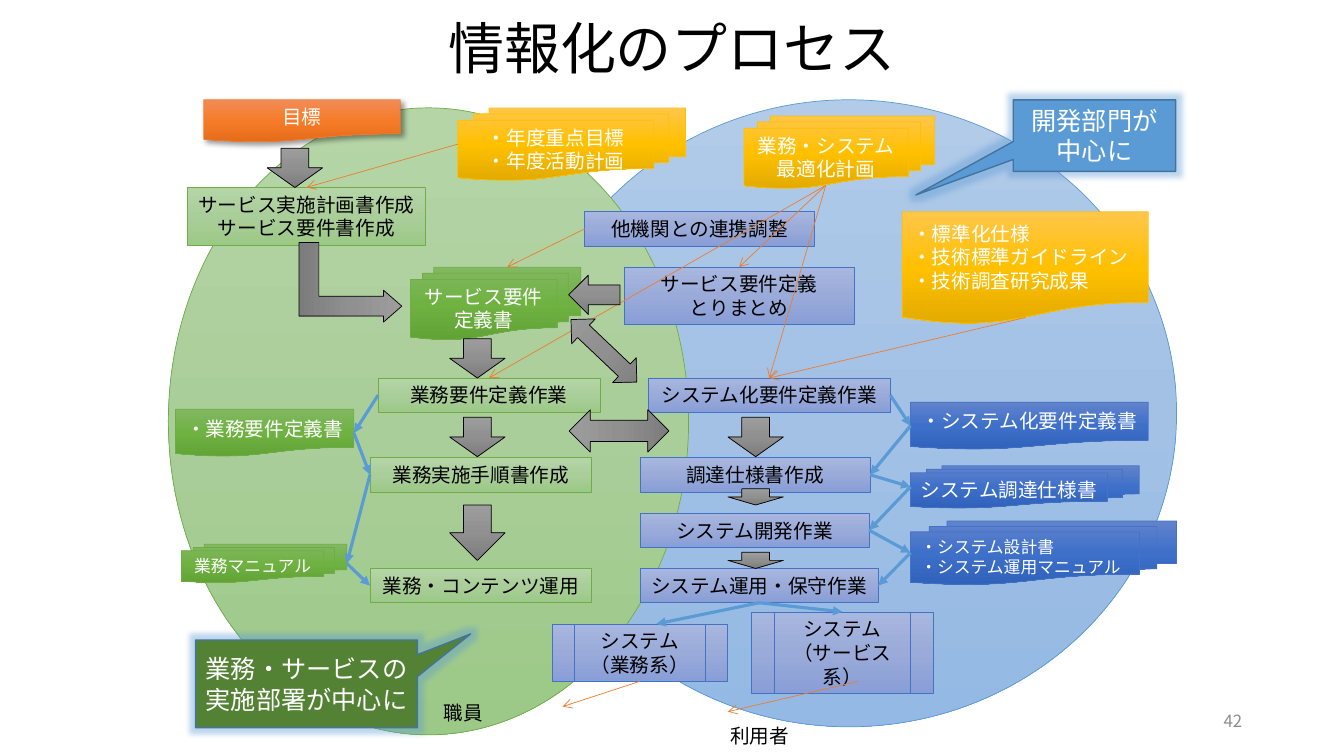
"""Build the slide that maps the computerisation process across staff and system lanes."""
from copy import deepcopy
from lxml.etree import SubElement
from pptx import Presentation
from pptx.dml.color import RGBColor
from pptx.enum.shapes import MSO_CONNECTOR, MSO_SHAPE as Kind
from pptx.enum.text import MSO_ANCHOR as Anchor, PP_ALIGN as Align
from pptx.oxml.ns import qn
from pptx.util import Inches, Pt

FONT = "Noto Sans CJK JP"
COLOURS = {
    "black": "000000", "white": "FFFFFF", "grey": "8C8C8C", "flow": "5B9BD5",
    "input": "ED7D31", "callout_line": "43739E", "developer": "5B9BD5", "staff": "548235",
}
GRADIENTS = {
    "system_area": ("B1CBE9", "A3C1E5", "93B9E4", "5B9BD5"),
    "staff_task": ("B5D5A7", "AACE9A", "9CC987", "70AD47"),
    "staff_paper": ("81B861", "6FB242", "62A336", "70AD47"),
    "system_task": ("A8B7DF", "9AABD9", "889ED7", "4472C4"),
    "system_paper": ("6183CB", "3E70CA", "3062BB", "4472C4"),
    "plan": ("FFC64B", "FFC000", "E3AB00", "FFC000"),
    "goal": ("F18C57", "F67B28", "E56C19", "ED7D31"),
    "arrow": ("9D9D9D", "909090", "7C7C7C", "000000"),
}

presentation = Presentation()
presentation.slide_width, presentation.slide_height = Inches(13.33), Inches(7.5)
slide = presentation.slides.add_slide(presentation.slide_layouts[5])
shapes = slide.shapes


def add_gradient_shape(kind, place, gradient):
    shape = shapes.add_shape(kind, *map(Inches, place))
    shape.shadow.inherit = False
    shape.fill.gradient()
    shape.fill.gradient_angle = 270
    stop_list = shape._element.spPr.find(qn("a:gradFill")).find(qn("a:gsLst"))
    stop_list.insert(1, deepcopy(stop_list[0]))
    *stops, line = GRADIENTS[gradient]
    for index, (stop, colour) in enumerate(zip(shape.fill.gradient_stops, stops)):
        stop.position = index / 2
        stop.color.rgb = RGBColor.from_string(colour)
    shape.line.color.rgb = RGBColor.from_string(line)
    shape.line.width = Pt(0.5)
    return shape


def write(shape, text, size, colour, align=Align.CENTER, anchor=Anchor.MIDDLE, wrap=True):
    frame = shape.text_frame
    frame.text = text
    frame.word_wrap = wrap
    frame.vertical_anchor = anchor
    for paragraph in frame.paragraphs:
        paragraph.alignment = align
        font = paragraph.font
        font.size, font.name = Pt(size), FONT
        font.color.rgb = RGBColor.from_string(COLOURS[colour])
        SubElement(font._rPr, qn("a:ea"), typeface=FONT)


add_gradient_shape(Kind.OVAL, (5.17, 0.99, 6.5, 6.22), "system_area")
add_gradient_shape(Kind.OVAL, (1.67, 1.07, 5.16, 6.22), "staff_task")

title = shapes.title
title.left, title.top, title.width, title.height = map(Inches, (1.86, 0, 9.61, 1.02))
write(title, "情報化のプロセス", 40, "black")
title.text_frame.paragraphs[0].line_spacing = 0.9

TASK, PAPER, PAPERS = Kind.FLOWCHART_PROCESS, Kind.FLOWCHART_DOCUMENT, Kind.FLOWCHART_MULTIDOCUMENT
SYSTEM = Kind.FLOWCHART_PREDEFINED_PROCESS
ROW_1, ROW_2, ROW_3, ROW_4 = 3.75, 4.54, 5.09, 5.64
LINE, PAIR, STACK = 0.34, 0.57, 0.72
PAPER_LEFT = 9.03
boxes = {
    "goal": (PAPER, 2.02, 0.99, 1.95, 0.42, "goal", "目標"),
    "requirements": (PAPERS, 4.07, 2.65, 1.69, STACK, "staff_paper", "サービス要件定義書"),
    "optimisation": (PAPERS, 7.38, 1.15, 1.89, STACK, "plan", "業務・システム\n最適化計画"),
    "year_plan": (PAPERS, 4.54, 1.07, 2.26, STACK, "plan", "・年度重点目標\n・年度活動計画"),
    "standards": (PAPER, 8.95, 2.1, 2.44, 1.12, "plan",
                  "・標準化仕様\n・技術標準ガイドライン\n・技術調査研究成果"),
    "service_plan": (TASK, 1.86, 1.86, 2.36, PAIR, "staff_task",
                     "サービス実施計画書作成\nサービス要件書作成"),
    "coordination": (TASK, 5.8, 2.1, 2.28, LINE, "system_task", "他機関との連携調整"),
    "summary": (TASK, 6.19, 2.65, 2.28, PAIR, "system_task", "サービス要件定義\nとりまとめ"),
    "work_definition": (TASK, 3.75, ROW_1, 2.2, LINE, "staff_task", "業務要件定義作業"),
    "procedure": (TASK, 3.67, ROW_2, 2.2, LINE, "staff_task", "業務実施手順書作成"),
    "operation": (TASK, 3.67, ROW_4, 2.2, LINE, "staff_task", "業務・コンテンツ運用"),
    "system_definition": (TASK, 6.43, ROW_1, 2.4, LINE, "system_task", "システム化要件定義作業"),
    "procurement": (TASK, 6.35, ROW_2, 2.28, LINE, "system_task", "調達仕様書作成"),
    "development": (Kind.RECTANGLE, 6.35, ROW_3, 2.27, LINE, "system_task", "システム開発作業"),
    "maintenance": (Kind.RECTANGLE, 6.35, ROW_4, 2.36, LINE, "system_task", "システム運用・保守作業"),
    "work_system": (SYSTEM, 5.48, 6.19, 1.73, PAIR, "system_task", "システム\n（業務系）"),
    "service_system": (SYSTEM, 7.45, 6.07, 1.81, 0.81, "system_task", "システム\n（サービス系）"),
    "work_paper": (PAPER, 1.74, 4.06, 1.77, 0.47, "staff_paper", "・業務要件定義書"),
    "manual": (PAPERS, 1.8, 5.4, 1.64, 0.38, "staff_paper", "業務マニュアル"),
    "system_paper": (PAPER, PAPER_LEFT, 3.99, 2.36, 0.47, "system_paper", "・システム化要件定義書"),
    "procurement_paper": (PAPERS, PAPER_LEFT, 4.62, 2.27, 0.42, "system_paper", "システム調達仕様書"),
    "design_paper": (PAPERS, PAPER_LEFT, 5.17, 2.64, 0.63, "system_paper",
                     "・システム設計書\n・システム運用マニュアル"),
}
nodes = {}
for name, (kind, *place, gradient, text) in boxes.items():
    nodes[name] = add_gradient_shape(kind, place, gradient)
    write(nodes[name], text, 12 if name in ("manual", "design_paper") else 14,
          "black" if gradient.endswith("task") else "white",
          Align.LEFT if name in ("standards", "design_paper") else Align.CENTER)

TOP, LEFT, BOTTOM, RIGHT = range(4)
PLAN_FOOT = (8.19, 1.84)
flows = [
    (("work_definition", LEFT), ("work_paper", RIGHT)),
    (("work_paper", RIGHT), ("procedure", LEFT)),
    (("procedure", LEFT), ("manual", RIGHT)),
    (("manual", RIGHT), ("operation", LEFT)),
    (("system_definition", RIGHT), ("system_paper", LEFT)),
    (("system_paper", LEFT), ("procurement", RIGHT)),
    (("procurement", RIGHT), ("procurement_paper", LEFT)),
    (("procurement_paper", LEFT), ("development", RIGHT)),
    (("development", RIGHT), ("design_paper", LEFT)),
    (("design_paper", LEFT), ("maintenance", RIGHT)),
    (("maintenance", BOTTOM), (6.51, 6.19)),
    (("maintenance", BOTTOM), ("service_system", TOP)),
]
inputs = [
    (("year_plan", LEFT), ("service_plan", TOP)),
    (("coordination", LEFT), (5.03, 2.65)),
    ((10.17, 3.15), ("system_definition", TOP)),
    (PLAN_FOOT, ("work_definition", TOP)),
    (PLAN_FOOT, ("system_definition", TOP)),
    (PLAN_FOOT, ("summary", TOP)),
    (("work_system", BOTTOM), (5.58, 7.01)),
    ((8.51, 6.76), (7.22, 7.06)),
]
for links, colour, width, head in ((flows, "flow", 2.25, "triangle"), (inputs, "input", 0.5, "arrow")):
    for start, end in links:
        points = [(0, 0) if point[0] in nodes else point for point in (start, end)]
        line = shapes.add_connector(MSO_CONNECTOR.STRAIGHT, *map(Inches, points[0] + points[1]))
        for point, connect in ((start, line.begin_connect), (end, line.end_connect)):
            if point[0] in nodes:
                connect(nodes[point[0]], point[1])
        line.line.color.rgb = RGBColor.from_string(COLOURS[colour])
        line.line.width = Pt(width)
        SubElement(line.line._get_or_add_ln(), qn("a:tailEnd"), type=head)
        SubElement(line._element.spPr, qn("a:effectLst"))

block_arrows = [
    (Kind.DOWN_ARROW, 2.65, 1.47, 0.55, 0.39, 0),
    (Kind.DOWN_ARROW, 4.46, 3.36, 0.55, 0.39, 0),
    (Kind.DOWN_ARROW, 4.46, 4.14, 0.55, 0.39, 0),
    (Kind.DOWN_ARROW, 4.46, 5.01, 0.55, 0.55, 0),
    (Kind.DOWN_ARROW, 7.22, 4.14, 0.55, 0.39, 0),
    (Kind.DOWN_ARROW, 7.22, 4.85, 0.55, 0.16, 0),
    (Kind.DOWN_ARROW, 7.22, 5.48, 0.55, 0.16, 0),
    (Kind.LEFT_ARROW, 5.64, 2.73, 0.51, 0.39, 0),
    (Kind.BENT_UP_ARROW, 3.08, 2.29, 0.79, 1.02, 90),
    (Kind.UP_DOWN_ARROW, 5.82, 3.03, 0.34, 0.9, 313.5),
    (Kind.UP_DOWN_ARROW, 5.93, 3.78, 0.42, 0.99, 270),
]
for kind, *place, rotation in block_arrows:
    arrow = add_gradient_shape(kind, place, "arrow")
    arrow.rotation = rotation
    if kind == Kind.BENT_UP_ARROW:
        for index, share in enumerate((0.25, 0.2, 0.23)):
            arrow.adjustments[index] = share

effects = [(nodes["goal"], "a:outerShdw", "black", 40,
            {"blurRad": str(Pt(4)), "dist": str(Pt(3)), "dir": "2700000", "rotWithShape": "0"})]
for place, tip, colour, text in (
    ((10.05, 0.99, 1.61, 0.71), (-1.1, 0.83), "developer", "開発部門が中心に"),
    ((1.94, 6.35, 2.2, 0.87), (0.74, -0.57), "staff", "業務・サービスの実施部署が中心に"),
):
    callout = shapes.add_shape(Kind.RECTANGULAR_CALLOUT, *map(Inches, place))
    callout.shadow.inherit = False
    callout.adjustments[0], callout.adjustments[1] = tip
    callout.fill.solid()
    callout.fill.fore_color.rgb = RGBColor.from_string(COLOURS[colour])
    callout.line.color.rgb = RGBColor.from_string(COLOURS["callout_line"])
    callout.line.width = Pt(1)
    write(callout, text, 18, "white")
    effects.append((callout, "a:glow", "flow", 40, {"rad": str(Pt(8))}))
for shape, effect_name, colour, opacity, settings in effects:
    effect = SubElement(shape._element.spPr.find(qn("a:effectLst")), qn(effect_name), settings)
    tint = SubElement(effect, qn("a:srgbClr"), val=COLOURS[colour])
    SubElement(tint, qn("a:alpha"), val=str(opacity * 1000))

for place, text, size, colour, align, anchor, wrap in (
    ((4.3, 6.9, 0.59, 0.34), "職員", 14, "black", Align.CENTER, Anchor.TOP, False),
    ((7.14, 7.13, 0.79, 0.34), "利用者", 14, "black", Align.CENTER, Anchor.TOP, False),
    ((9.42, 6.95, 3, 0.4), "42", 12, "grey", Align.RIGHT, Anchor.MIDDLE, True),
):
    write(shapes.add_textbox(*map(Inches, place)), text, size, colour, align, anchor, wrap)

presentation.save("out.pptx")
